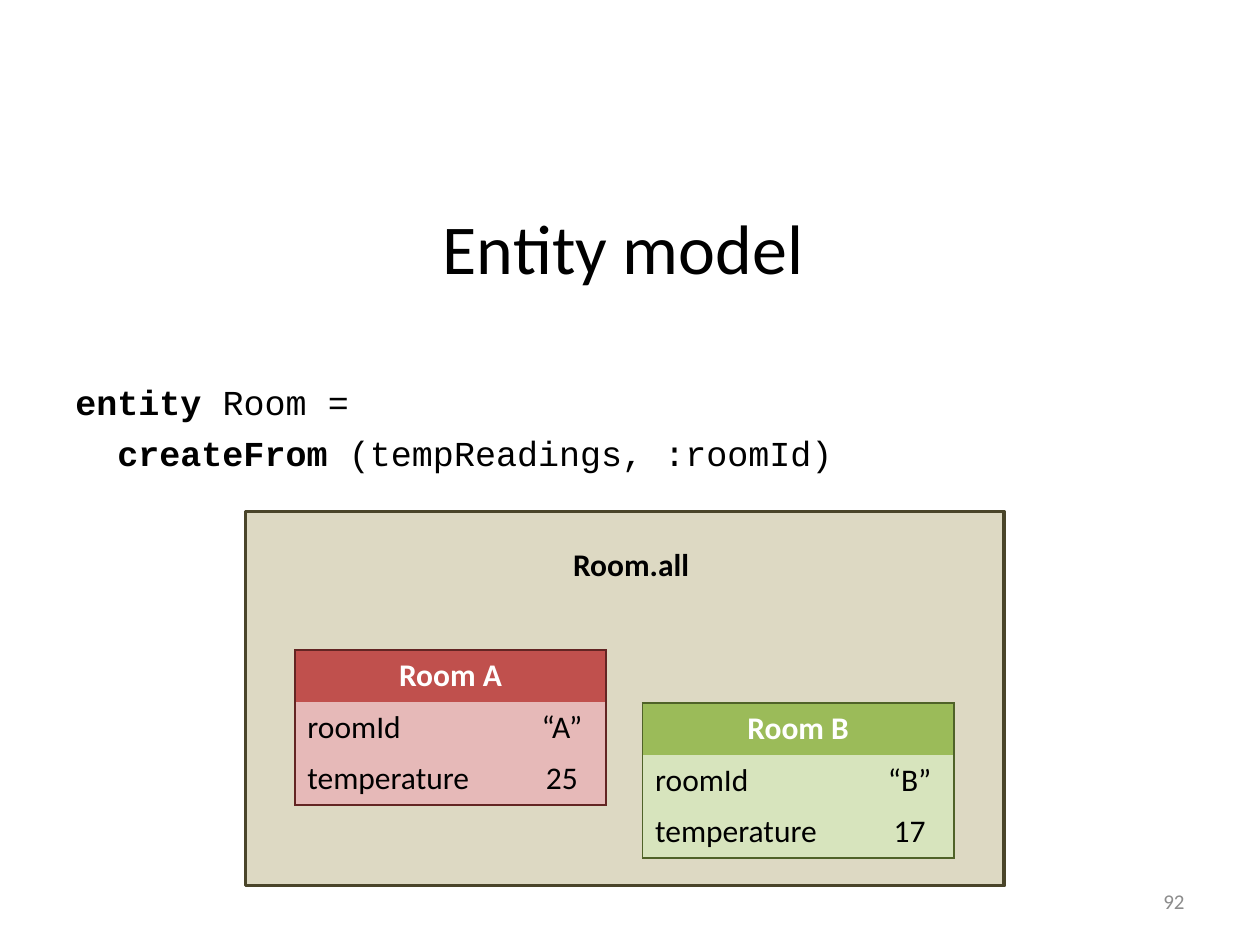
"""Build the "Entity model" slide with its code sample and two room tables."""
from lxml import etree
from pptx import Presentation
from pptx.dml.color import RGBColor
from pptx.enum.shapes import MSO_SHAPE
from pptx.enum.text import MSO_ANCHOR, PP_ALIGN
from pptx.oxml.ns import qn
from pptx.util import Inches, Pt

LEFT, CENTER, RIGHT = PP_ALIGN.LEFT, PP_ALIGN.CENTER, PP_ALIGN.RIGHT
TOP, MIDDLE = MSO_ANCHOR.TOP, MSO_ANCHOR.MIDDLE
RECTANGLE = MSO_SHAPE.RECTANGLE
BLACK = RGBColor(0x00, 0x00, 0x00)
WHITE = RGBColor(0xFF, 0xFF, 0xFF)
GRAY = RGBColor(0x8C, 0x8C, 0x8C)
TAN = RGBColor(0xDD, 0xD9, 0xC3)
DARK_TAN = RGBColor(0x4A, 0x45, 0x2A)
RED = RGBColor(0xC0, 0x50, 0x4D)
PALE_RED = RGBColor(0xE6, 0xB9, 0xB8)
DARK_RED = RGBColor(0x63, 0x25, 0x23)
GREEN = RGBColor(0x9B, 0xBB, 0x59)
PALE_GREEN = RGBColor(0xD7, 0xE4, 0xBD)
DARK_GREEN = RGBColor(0x4F, 0x62, 0x28)

TITLE = "Entity model"
CODE = [("entity ", "Room ="), ("  createFrom ", "(tempReadings, :roomId)")]
GROUP_LABEL = "Room.all"
PAGE_NUMBER = "92"
ROOMS = [
    {"name": "Room A", "fields": [("roomId", "“A”"), ("temperature", "25")],
     "at": (2.34, 5.16), "colors": (RED, PALE_RED, DARK_RED)},
    {"name": "Room B", "fields": [("roomId", "“B”"), ("temperature", "17")],
     "at": (5.1, 5.58), "colors": (GREEN, PALE_GREEN, DARK_GREEN)},
]
COLUMN_WIDTHS = (1.77, 0.7)
ROW_HEIGHT = 0.41

TITLE_FONT = {"name": "Calibri", "size": Pt(40), "color": BLACK}
CODE_FONT = {"name": "Courier New", "size": Pt(20), "color": BLACK}
LABEL_FONT = {"name": "Calibri", "size": Pt(18), "bold": True, "color": BLACK}
FIELD_FONT = {**LABEL_FONT, "bold": False}
HEADER_FONT = {**LABEL_FONT, "color": WHITE}
NUMBER_FONT = {"name": "Calibri", "size": Pt(12), "color": GRAY}


def add_run(paragraph, text, font_format):
    run = paragraph.add_run()
    run.text = text
    for attribute, value in font_format.items():
        if attribute == "color":
            run.font.color.rgb = value
        else:
            setattr(run.font, attribute, value)


def write(frame, text, font_format, align, anchor=MIDDLE, wrap=True):
    frame.word_wrap = wrap
    frame.vertical_anchor = anchor
    paragraph = frame.paragraphs[0]
    paragraph.alignment = align
    add_run(paragraph, text, font_format)


def add_text_box(slide, at):
    return slide.shapes.add_textbox(*map(Inches, at)).text_frame


def set_borders(cell, outer_sides, color):
    properties = cell._tc.get_or_add_tcPr()
    for position, side in enumerate("LRTB"):
        line = etree.Element(qn(f"a:ln{side}"), w=str(Pt(1)))
        if side in outer_sides:
            solid = etree.SubElement(line, qn("a:solidFill"))
            etree.SubElement(solid, qn("a:srgbClr"), val=str(color))
        else:
            etree.SubElement(line, qn("a:noFill"))
        properties.insert(position, line)


def add_room(slide, room):
    header_fill, field_fill, border = room["colors"]
    rows = [(room["name"], "")] + room["fields"]
    size = (sum(COLUMN_WIDTHS), ROW_HEIGHT * len(rows))
    table = slide.shapes.add_table(
        len(rows), len(COLUMN_WIDTHS), *map(Inches, room["at"] + size)).table
    for column, width in zip(table.columns, COLUMN_WIDTHS):
        column.width = Inches(width)
    for row_index, texts in enumerate(rows):
        is_header = row_index == 0
        table.rows[row_index].height = Inches(ROW_HEIGHT)
        for column_index, text in enumerate(texts):
            cell = table.cell(row_index, column_index)
            cell.fill.solid()
            cell.fill.fore_color.rgb = header_fill if is_header else field_fill
            sides = "LR"[column_index]
            if is_header:
                sides = "LRT"
            elif row_index == len(rows) - 1:
                sides += "B"
            set_borders(cell, sides, border)
            if text:
                paragraph = cell.text_frame.paragraphs[0]
                paragraph.alignment = CENTER if is_header or column_index else LEFT
                add_run(paragraph, text, HEADER_FONT if is_header else FIELD_FONT)
    table.cell(0, 0).merge(table.cell(0, 1))


def main():
    presentation = Presentation()
    presentation.slide_width, presentation.slide_height = Inches(10), Inches(7.5)
    slide = presentation.slides.add_slide(presentation.slide_layouts[5])

    title = slide.shapes.title
    title.left, title.top, title.width, title.height = map(
        Inches, (1.33, 1.33, 7.23, 1.25))
    write(title.text_frame, TITLE, TITLE_FONT, CENTER)

    group = slide.shapes.add_shape(RECTANGLE, *map(Inches, (1.95, 4.06, 6.02, 2.97)))
    group.shadow.inherit = False
    group.fill.solid()
    group.fill.fore_color.rgb = TAN
    group.line.color.rgb = DARK_TAN
    group.line.width = Pt(2)

    write(add_text_box(slide, (7.17, 6.95, 2.33, 0.4)), PAGE_NUMBER, NUMBER_FONT, RIGHT)

    code = add_text_box(slide, (0.5, 2.97, 9, 3.34))
    code.word_wrap = True
    for index, (keyword, rest) in enumerate(CODE):
        paragraph = code.add_paragraph() if index else code.paragraphs[0]
        if index:
            paragraph.space_before = Pt(5)
        add_run(paragraph, keyword, {**CODE_FONT, "bold": True})
        add_run(paragraph, rest, {**CODE_FONT, "bold": False})

    write(add_text_box(slide, (4.45, 4.28, 1.13, 0.4)),
          GROUP_LABEL, LABEL_FONT, LEFT, TOP, False)
    for room in ROOMS:
        add_room(slide, room)
    presentation.save("out.pptx")


if __name__ == "__main__":
    main()
